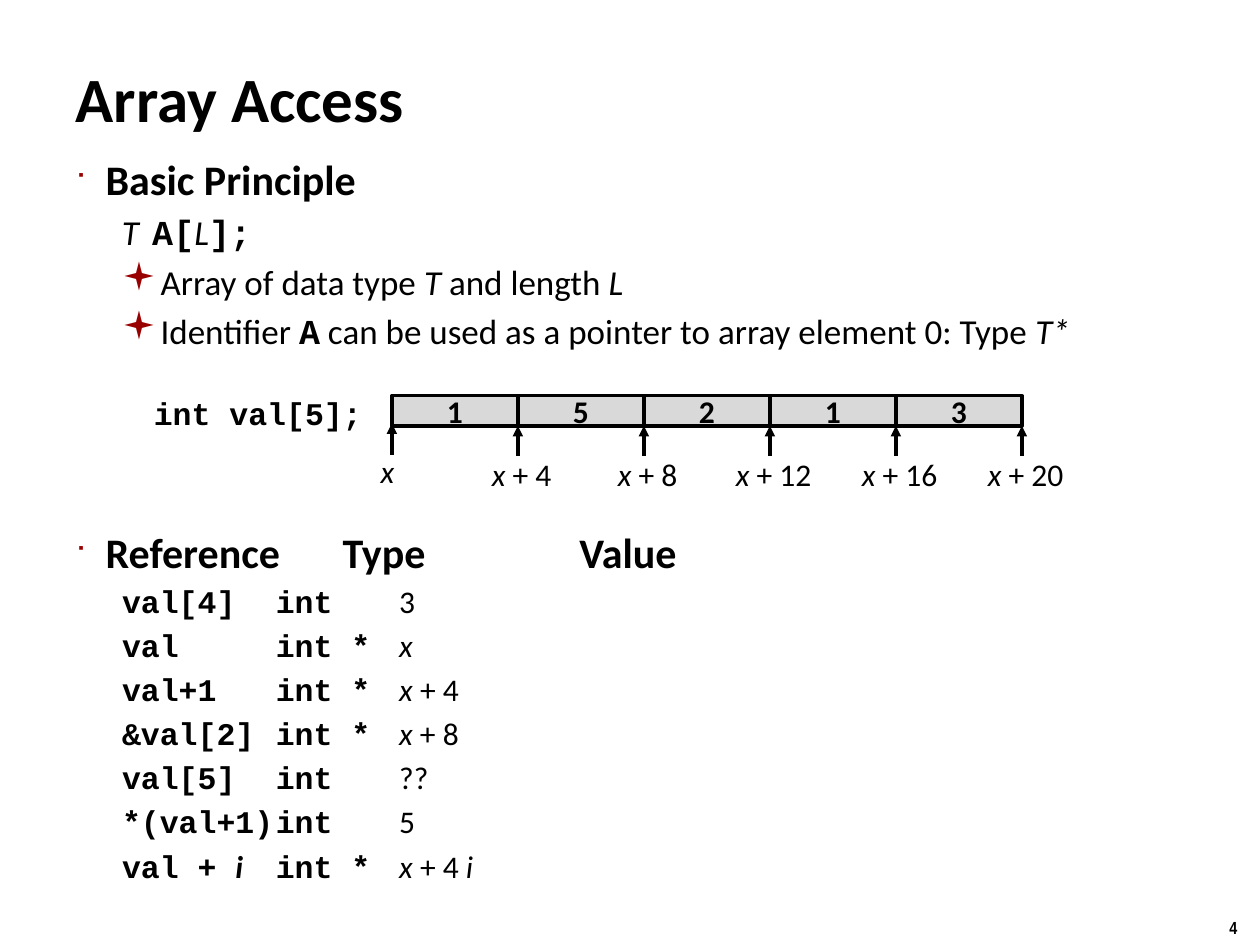
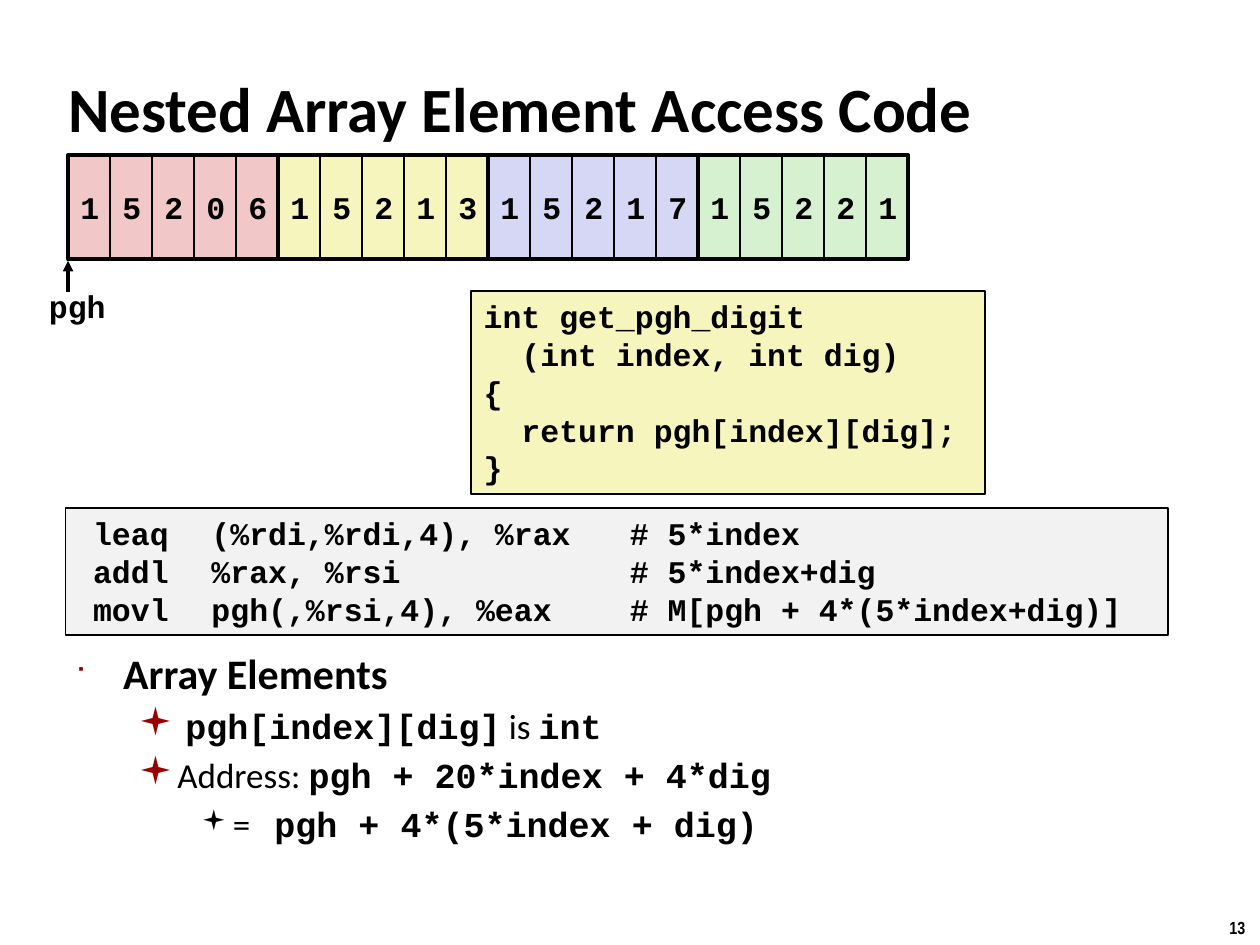
from lxml.etree import SubElement
from pptx import Presentation
from pptx.dml.color import RGBColor
from pptx.enum.shapes import MSO_CONNECTOR, MSO_SHAPE
from pptx.enum.text import MSO_ANCHOR, MSO_AUTO_SIZE, PP_ALIGN
from pptx.oxml.ns import qn
from pptx.util import Inches, Pt

BLACK, RED, GREY, PALE = "000000", "990000", "D9D9D9", "F2F2F2"
PINK, CREAM, LILAC, MINT = "F1C7C7", "F6F5BD", "D6D6F5", "D5F1CF"
SANS, MONO, SMALL, SIGNS = "Calibri", "Courier New", "Arial Narrow", "Wingdings"


def color(code):
    """Turn a hex string into a colour."""
    return RGBColor.from_string(code)


def style(font, kind):
    """Set face, weight and slant: c is code, b bold, i italic, n narrow."""
    font.name = MONO if "c" in kind else SMALL if "n" in kind else SANS
    font.bold = any(mark in kind for mark in "cbn")
    font.italic = "i" in kind


def bullet(para, char, tint, scale):
    """Give a paragraph a bullet, or none when char is empty."""
    props = para._p.get_or_add_pPr()
    if not char:
        SubElement(props, qn("a:buNone"))
        return
    SubElement(SubElement(props, qn("a:buClr")), qn("a:srgbClr"), val=tint)
    SubElement(props, qn("a:buSzPct"), val=str(scale * 1000))
    SubElement(props, qn("a:buFont"), typeface=SIGNS)
    SubElement(props, qn("a:buChar"), char=char)


def set_tabs(para, stops):
    """Set left tab stops, in inches."""
    if stops:
        tabs = SubElement(para._p.get_or_add_pPr(), qn("a:tabLst"))
        for stop in stops:
            SubElement(tabs, qn("a:tab"), pos=str(Inches(stop)), algn="l")


def write(para, runs, size, align=PP_ALIGN.LEFT):
    """Fill a paragraph with (text, kind) runs."""
    para.alignment = align
    para.font.size = Pt(size)
    para.font.color.rgb = color(BLACK)
    same = len({kind for _, kind in runs}) == 1
    if same:
        style(para.font, runs[0][1])
    for text, kind in runs:
        run = para.add_run()
        run.text = text
        if not same:
            style(run.font, kind)


def lines(frame, rows, size, stops=(), gap=0):
    """Write rows of runs, one paragraph each, with a gap between."""
    for n, runs in enumerate(rows):
        para = frame.add_paragraph() if n else frame.paragraphs[0]
        para.space_before = Pt(gap if n else 0)
        set_tabs(para, stops)
        write(para, runs, size)


class Deck:
    """Holds the file, the current slide and the shared look."""

    # level: size, margin, bullet, tint, scale
    levels = {
        1: [(24, 0.24, "■", RED, 60), (20, 0.61, "▪", RED, 110)],
        2: [(24, 0.38, "■", RED, 60), (20, 0.81, "▪", RED, 110),
            (20, 1.25, "▪", BLACK, 80)],
    }
    hangs = {1: [0.24, 0.24], 2: [0.38, 0.31, 0.25]}

    def __init__(self):
        """Start a 10 by 7.5 inch file."""
        self.file = Presentation()
        self.file.slide_width, self.file.slide_height = Inches(10), Inches(7.5)

    def page(self, title, left, top, number):
        """Add a slide with its title and page number."""
        self.slide = self.file.slides.add_slide(self.file.slide_layouts[5])
        head = self.slide.shapes.title
        head.left, head.top = Inches(left), Inches(top)
        head.width, head.height = Inches(9.06), Inches(0.63)
        frame = head.text_frame
        frame.auto_size = MSO_AUTO_SIZE.NONE
        frame.vertical_anchor = MSO_ANCHOR.MIDDLE
        write(frame.paragraphs[0], [(title, "b")], 36)
        self.label([(number, "n")], 9.66, 7.23, 0.34, 0.27, 10, wrap=False)

    def frame(self, left, top, width, height, wrap=True):
        """Add an empty text box and return its frame."""
        box = self.slide.shapes.add_textbox(
            Inches(left), Inches(top), Inches(width), Inches(height))
        box.text_frame.word_wrap = wrap
        return box.text_frame

    def label(self, runs, left, top, width, height=0.4, size=18,
              align=PP_ALIGN.LEFT, wrap=True):
        """Add a one-line text box."""
        frame = self.frame(left, top, width, height, wrap)
        write(frame.paragraphs[0], runs, size, align)

    def body(self, place, look, items):
        """Add an outline of (level, runs, options) items."""
        frame = self.frame(*place)
        for n, (level, runs, opts) in enumerate(items):
            para = frame.add_paragraph() if n else frame.paragraphs[0]
            size, margin, char, tint, scale = self.levels[look][level]
            para.level = level
            para.space_before = Pt(opts.get("gap", size * 0.2))
            props = para._p.get_or_add_pPr()
            props.set("marL", str(Inches(margin)))
            props.set("indent", str(-Inches(self.hangs[look][level])))
            bullet(para, "" if opts.get("plain") else char, tint, scale)
            set_tabs(para, opts.get("stops"))
            write(para, runs, size)

    def rect(self, left, top, width, height, fill=None, weight=1):
        """Add an outlined rectangle and return its text frame."""
        box = self.slide.shapes.add_shape(
            MSO_SHAPE.RECTANGLE, Inches(left), Inches(top), Inches(width), Inches(height))
        box.shadow.inherit = False
        if fill:
            box.fill.solid()
            box.fill.fore_color.rgb = color(fill)
        else:
            box.fill.background()
        box.line.color.rgb = color(BLACK)
        box.line.width = Pt(weight)
        return box.text_frame

    def cell(self, text, kind, place, fill, weight, align):
        """Add one array cell."""
        frame = self.rect(*place, fill, weight)
        frame.word_wrap = False
        frame.vertical_anchor = MSO_ANCHOR.MIDDLE
        write(frame.paragraphs[0], [(text, kind)], 18, align)

    def code(self, rows, place, fill, stops=()):
        """Add a box of code."""
        frame = self.rect(*place, fill)
        frame.word_wrap = True
        frame.vertical_anchor = MSO_ANCHOR.TOP
        lines(frame, [[(row, "c")] for row in rows], 18, stops)

    def arrow(self, left, low, high):
        """Add an arrow that points up."""
        line = self.slide.shapes.add_connector(
            MSO_CONNECTOR.STRAIGHT, Inches(left), Inches(low), Inches(left), Inches(high))
        line.line.color.rgb = color(BLACK)
        line.line.width = Pt(2)
        SubElement(line.line._get_or_add_ln(), qn("a:tailEnd"), type="triangle")
        SubElement(line._element.spPr, qn("a:effectLst"))


def access(deck):
    """Build the slide on array access."""
    deck.page("Array Access", 0.5, 0.46, "4")
    deck.body((0.5, 1.17, 8.82, 3.4), 1, [
        (0, [("Basic Principle", "b")], {}),
        (1, [("T\t", "i"), ("A[", "c"), ("L", "i"), ("];", "c")], {"plain": True}),
        (1, [("Array of data type ", ""), ("T", "i"), (" and length ", ""), ("L", "i")], {}),
        (1, [("Identifier ", ""), ("A", "c"),
             (" can be used as a pointer to array element 0: Type ", ""), ("T*", "i")], {}),
        (0, [("Reference\tType\tValue", "b")], {"gap": 100, "stops": (2.12, 4)}),
    ])
    table = [
        [("val[4]\tint\t", "c"), ("3", "")],
        [("val\tint *\t", "c"), ("x", "i")],
        [("val+1\tint *\t", "c"), ("x ", "i"), ("+ 4", "")],
        [("&val[2]\tint *\t", "c"), ("x", "i"), (" + 8", "")],
        [("val[5]\tint\t", "c"), ("??", "")],
        [("*(val+1)\tint\t", "c"), ("5", "")],
        [("val + ", "c"), ("i\t", "bi"), ("int *\t", "c"),
         ("x ", "i"), ("+ 4 ", ""), ("i", "i")],
    ]
    lines(deck.frame(0.87, 4.57, 8.45, 2.6), table, 18, (1.22, 2.2), 3.6)
    deck.label([("int val[5];", "c")], 1.11, 3.08, 1.86, align=PP_ALIGN.RIGHT)
    start, mid = 3.11, PP_ALIGN.CENTER
    for n, digit in enumerate("15213"):
        deck.cell(digit, "b", (start + n, 3.14, 1, 0.24), GREY, 2, mid)
    deck.label([("x", "i")], 2.86, 3.54, 0.43, align=mid)
    deck.arrow(start, 3.61, 3.36)
    for n in range(1, 6):
        deck.label([("x ", "i"), (f"+ {4 * n}", "")], start + n - 0.51, 3.56, 1.08, align=mid)
        deck.arrow(start + n, 3.62, 3.38)


def nested(deck):
    """Build the slide on nested array code."""
    deck.page("Nested Array Element Access Code", 0.44, 0.54, "13")
    deck.body((0.5, 5.09, 9.1, 1.91), 2, [
        (0, [("Array Elements", "b")], {}),
        (1, [(" ", "b"), ("pgh[index][dig]", "c"), (" is ", ""), ("int", "c")], {}),
        (1, [("Address: ", ""), ("pgh + 20*index + 4*dig", "c")], {}),
        (2, [("=\t", ""), ("pgh + 4*(5*index + dig)", "c")], {"stops": (1.58,)}),
    ])
    deck.code(["int get_pgh_digit", "  (int index, int dig)", "{",
               "  return pgh[index][dig];", "}"], (3.74, 2.31, 4.08, 1.61), CREAM)
    deck.code(["\tleaq\t(%rdi,%rdi,4), %rax\t# 5*index",
               "\taddl\t%rax, %rsi\t# 5*index+dig",
               "\tmovl\tpgh(,%rsi,4), %eax\t# M[pgh + 4*(5*index+dig)]"],
              (0.52, 4.03, 8.75, 1.01), PALE, (0.12, 1.06, 4.38))
    left, top, high, wide = 0.54, 1.23, 0.83, 1 / 3
    deck.arrow(left, 2.32, 2.07)
    deck.label([("pgh", "c")], 0.29, 2.23, 0.66, wrap=False)
    codes = [("15206", PINK), ("15213", CREAM), ("15217", LILAC), ("15221", MINT)]
    for n, (digits, fill) in enumerate(codes):
        for k, digit in enumerate(digits):
            place = (left + (5 * n + k) * wide, top, wide, high)
            deck.cell(digit, "c", place, fill, 1, PP_ALIGN.LEFT)
    for n in range(len(codes)):
        deck.rect(left + 5 * n * wide, top, 5 * wide, high, weight=2.25)


deck = Deck()
access(deck)
nested(deck)
deck.file.save("out.pptx")
